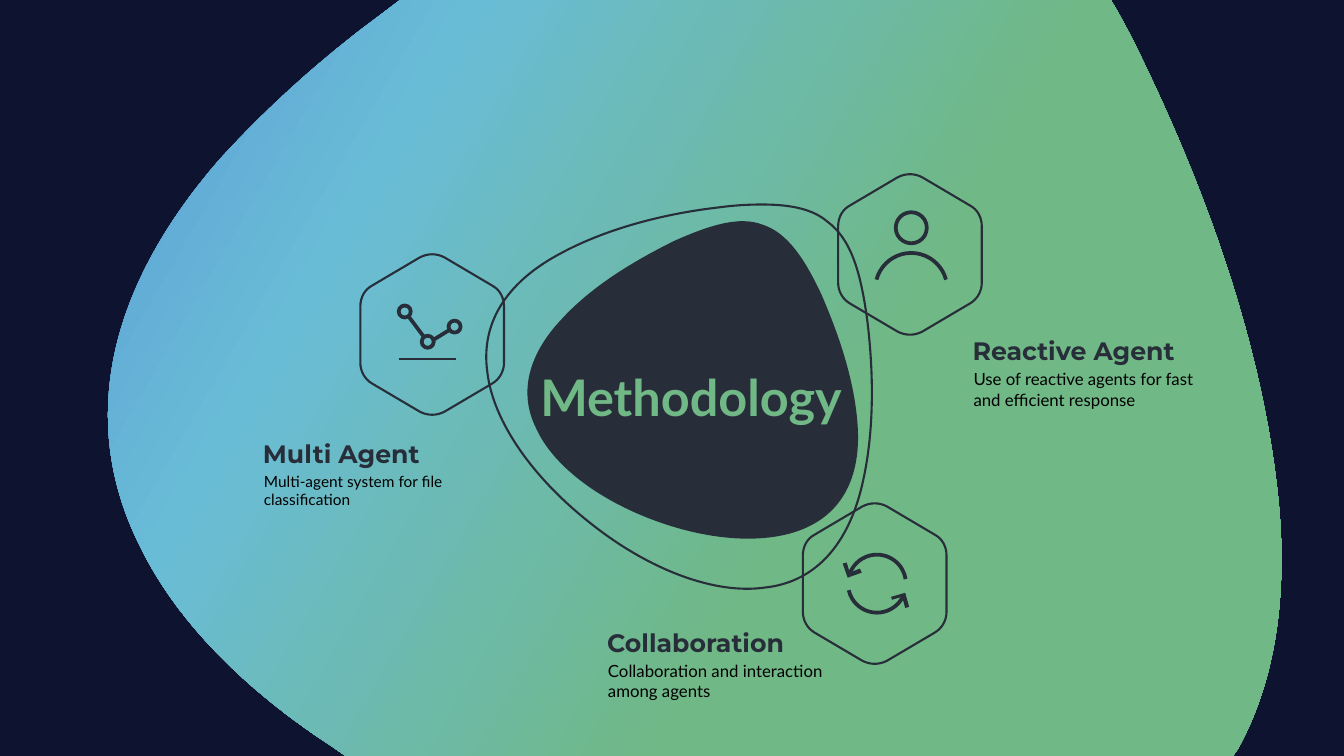
import pptx
import pptx.dml.color
import pptx.enum.shapes
import pptx.enum.text
import pptx.oxml
import pptx.oxml.ns
import pptx.util

Pt = pptx.util.Pt
RGBColor = pptx.dml.color.RGBColor

NAVY = RGBColor(0x0E, 0x13, 0x30)
CHARCOAL = RGBColor(0x28, 0x2E, 0x39)
BLACK = RGBColor(0, 0, 0)
BLUE = RGBColor(0x5B, 0x9B, 0xD5)
SKY = RGBColor(0x69, 0xBC, 0xD6)
GREEN = RGBColor(0x70, 0xB8, 0x86)

OUTLINE = 1.5
ICON_STROKE = 2.7

# Outlines in points: one point is a line, three points are a Bezier curve
BACKDROP = [
    [(285.8, 0)], [(793.4, 0)],
    [(799.9, 10.8), (805.7, 21.6), (811.4, 33.1)],
    [(856.1, 123.8), (902.9, 243.4), (913.7, 362.9)],
    [(919.4, 429.8), (910.1, 488.2), (884.2, 535)],
    [(880.6, 540)], [(247, 540)], [(237.6, 533.5)],
    [(173.5, 491.8), (126, 442.8), (100.8, 391.7)],
    [(85.4, 361.5), (77.7, 330.8), (77.2, 299.9)],
    [(76.1, 237.3), (104.4, 174.1), (157, 113.8)],
    [(187.2, 80.6), (221, 49.7), (256.3, 22.3)],
]
CORE = [
    [(168.5, 2.2)],
    [(185.8, 7.9), (198, 25.9), (210.2, 51.8)],
    [(221.8, 78.5), (234, 112.3), (236.2, 146.2)],
    [(238.3, 180), (226.8, 205.9), (200.2, 218.2)],
    [(174.2, 230.4), (133.9, 229), (92.2, 213.8)],
    [(50.4, 198.7), (18, 173.5), (6.5, 147.6)],
    [(-6.5, 121.7), (1.4, 94.3), (24.5, 69.8)],
    [(47.5, 44.6), (79.2, 26.6), (105.1, 13.7)],
    [(131, 2.2), (151.9, -4.3), (168.5, 2.2)],
]
ORBIT = [
    [(197.3, 0.7)],
    [(186.5, 0.7), (176.4, 1.4), (165.6, 2.9)],
    [(134.3, 6.5), (89.3, 15.8), (51.5, 36.7)],
    [(14, 57.2), (-3.6, 86), (1.1, 120.2)],
    [(5, 155.2), (33.1, 195.8), (75.6, 229)],
    [(117.4, 262.1), (164.2, 279.4), (199.4, 274.3)],
    [(233.3, 270.7), (257, 246.6), (267.8, 205.2)],
    [(278.6, 163.4), (276.5, 117.4), (272.9, 86.4)],
    [(267.8, 46.1), (259.9, 24.8), (244.1, 13)],
    [(234, 4.3), (218.9, 0.7), (197.3, 0.7)],
]
HEXAGON = [
    [(43.6, 3.2)], [(49.3, 0.2), (55.6, 0.2), (61.2, 3.2)],
    [(95.4, 23.4)], [(100.8, 26.3), (103.7, 32), (103.7, 38.2)],
    [(103.7, 78.5)], [(103.7, 84.2), (100.8, 90), (95.4, 93.2)],
    [(61.2, 113.4)], [(55.6, 116.3), (49.3, 116.3), (43.6, 113.4)],
    [(9.4, 93.2)], [(4, 90), (1.1, 84.2), (1.1, 78.5)],
    [(1.1, 38.2)], [(1.1, 32), (4, 26.3), (9.4, 23.4)],
]
ARROWHEADS = [
    [[(43.2, 50.4)], [(41.8, 47.5)], [(34.6, 50.4)],
     [(32.4, 43.2)], [(29.5, 43.9)], [(33.1, 54)]],
    [[(64.1, 67.7)], [(64.8, 69.8)], [(72, 67.7)],
     [(74.2, 75.6)], [(77, 74.9)], [(74.2, 64.8)]],
]


def paint(shape, fill=None, stroke=None):
    shape.shadow.inherit = False
    if fill is None:
        shape.fill.background()
    else:
        shape.fill.solid()
        shape.fill.fore_color.rgb = fill
    if stroke is None:
        shape.line.fill.background()
    else:
        shape.line.color.rgb = CHARCOAL
        shape.line.width = Pt(stroke)


def add_outline(slide, left, top, outline, fill=None, stroke=None):
    points = [(Pt(left + x), Pt(top + y)) for segment in outline for x, y in segment]
    builder = slide.shapes.build_freeform(*points[0])
    builder.add_line_segments(points[1:], close=True)
    shape = builder.convert_to_shape()
    paint(shape, fill, stroke)
    # Merge the three lines of each curve segment into one Bezier curve
    lines = iter(list(shape._element.spPr.iter(pptx.oxml.ns.qn("a:lnTo"))))
    for segment in outline[1:]:
        parts = [next(lines) for _ in segment]
        if len(parts) == 3:
            curve = pptx.oxml.parse_xml(f"<a:cubicBezTo {pptx.oxml.ns.nsdecls('a')}/>")
            parts[0].addprevious(curve)
            for part in parts:
                curve.append(part[0])
                part.getparent().remove(part)
    return shape


def add_round(slide, kind, center_x, center_y, radius):
    shape = slide.shapes.add_shape(
        kind, Pt(center_x - radius), Pt(center_y - radius), Pt(2 * radius), Pt(2 * radius))
    paint(shape, stroke=ICON_STROKE)
    return shape


def add_ring(slide, center_x, center_y, radius):
    add_round(slide, pptx.enum.shapes.MSO_SHAPE.OVAL, center_x, center_y, radius)


def add_arc(slide, center_x, center_y, radius, start, end):
    arc = add_round(slide, pptx.enum.shapes.MSO_SHAPE.ARC, center_x, center_y, radius)
    # One degree is 60000 units, and adjustments count in 100000
    arc.adjustments[0], arc.adjustments[1] = start * 0.6, end * 0.6


def add_rule(slide, left, top, start, end, width=ICON_STROKE):
    rule = slide.shapes.add_connector(
        pptx.enum.shapes.MSO_CONNECTOR.STRAIGHT, Pt(left + start[0]), Pt(top + start[1]),
        Pt(left + end[0]), Pt(top + end[1]))
    rule.line.color.rgb = CHARCOAL
    rule.line.width = Pt(width)
    rule._element.spPr.append(pptx.oxml.parse_xml(
        f"<a:effectLst {pptx.oxml.ns.nsdecls('a')}/>"))


def write_text(shape, text, font="Lato", size=12, color=BLACK, bold=False):
    frame = shape.text_frame
    frame.word_wrap = True
    frame.auto_size = pptx.enum.text.MSO_AUTO_SIZE.NONE
    frame.vertical_anchor = pptx.enum.text.MSO_ANCHOR.TOP
    paragraph = frame.paragraphs[0]
    paragraph.text = text
    paragraph.alignment = pptx.enum.text.PP_ALIGN.LEFT
    paragraph.font.name = font
    paragraph.font.size = Pt(size)
    paragraph.font.bold = bold
    paragraph.font.color.rgb = color


def add_backdrop(slide):
    slide.background.fill.solid()
    slide.background.fill.fore_color.rgb = NAVY
    backdrop = add_outline(slide, 0, 0, BACKDROP, fill=GREEN)
    stops = "".join(f'<a:gs pos="{position * 1000}"><a:srgbClr val="{color}"/></a:gs>'
                    for position, color in ((0, BLUE), (23, SKY), (61, GREEN), (100, GREEN)))
    gradient = pptx.oxml.parse_xml(
        f'<a:gradFill {pptx.oxml.ns.nsdecls("a")} rotWithShape="1"><a:gsLst>{stops}</a:gsLst>'
        '<a:lin ang="1800000" scaled="0"/></a:gradFill>')
    properties = backdrop._element.spPr
    properties.replace(properties.find(pptx.oxml.ns.qn("a:solidFill")), gradient)


def add_center(slide, left, top):
    add_outline(slide, left, top, ORBIT, stroke=OUTLINE)
    add_outline(slide, left + 29.5, top + 13, CORE, fill=CHARCOAL)
    # The title sits above the core in the stacking order
    title = slide.shapes.title
    slide.shapes._spTree.append(title._element)
    title.left, title.top = Pt(left + 31.7), Pt(top + 112.3)
    title.width, title.height = Pt(266.4), Pt(51)
    write_text(title, "Methodology", size=36, color=GREEN, bold=True)


def draw_graph_icon(slide, left, top):
    for x, y in ((49.2, 63.4), (68.4, 52.6), (32.8, 41.8)):
        add_ring(slide, left + x, top + y, 4.3)
    add_rule(slide, left, top, (35.6, 45.4), (46.4, 59.8))
    add_rule(slide, left, top, (54, 61.6), (64.1, 55.4))
    add_rule(slide, left, top, (28.8, 75.7), (69.1, 75.7), width=1.8)


def draw_cycle_icon(slide, left, top):
    for start, end in ((202, 351), (27, 167)):
        add_arc(slide, left + 54, top + 58.3, 20.7, start, end)
    for arrowhead in ARROWHEADS:
        add_outline(slide, left, top, arrowhead, fill=CHARCOAL)


def draw_person_icon(slide, left, top):
    add_ring(slide, left + 53.3, top + 39.2, 11.1)
    add_arc(slide, left + 53.3, top + 82.9, 25.7, 195, 345)


def add_badge(slide, left, top, draw_icon):
    add_outline(slide, left, top, HEXAGON, stroke=OUTLINE)
    draw_icon(slide, left, top)


def add_caption(slide, left, top, heading, detail, size=12):
    box = slide.shapes.add_textbox(Pt(left), Pt(top), Pt(165), Pt(29))
    write_text(box, heading, font="Montserrat", size=18, color=CHARCOAL, bold=True)
    box = slide.shapes.add_textbox(Pt(left + 0.7), Pt(top + 24), Pt(175), Pt(36))
    write_text(box, detail, size=size)


def main():
    presentation = pptx.Presentation()
    presentation.slide_width, presentation.slide_height = Pt(960), Pt(540)
    slide = presentation.slides.add_slide(presentation.slide_layouts[5])

    add_backdrop(slide)
    # Hexagon badges
    add_badge(slide, 256.3, 180.7, draw_graph_icon)
    add_badge(slide, 572.4, 358.6, draw_cycle_icon)
    add_badge(slide, 597.6, 123.5, draw_person_icon)
    add_center(slide, 347, 145.4)
    # Captions
    add_caption(slide, 180.7, 309.6, "Multi Agent",
                "Multi-agent system for file classification", size=11)
    add_caption(slide, 426.5, 444.5, "Collaboration",
                "Collaboration and interaction among agents")
    add_caption(slide, 687.6, 236.2, "Reactive Agent",
                "Use of reactive agents for fast and efficient response")
    presentation.save("out.pptx")


if __name__ == "__main__":
    main()
